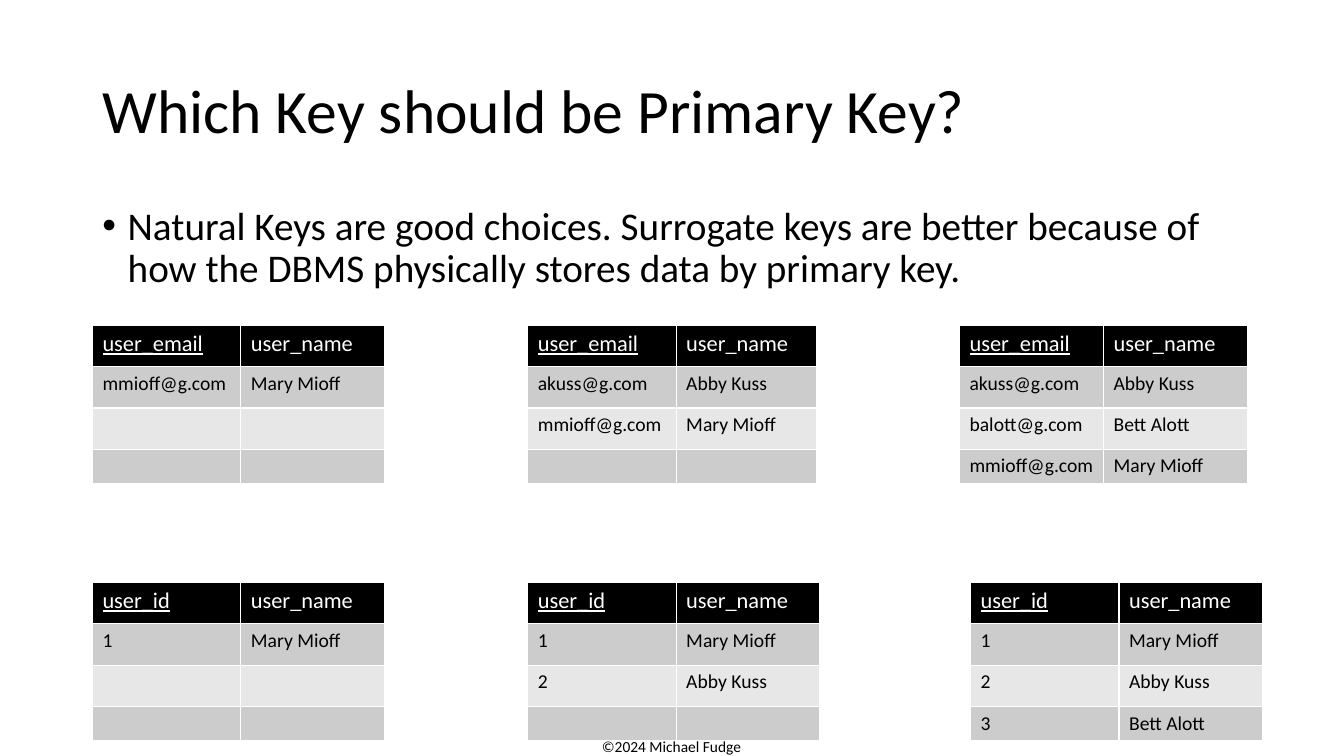
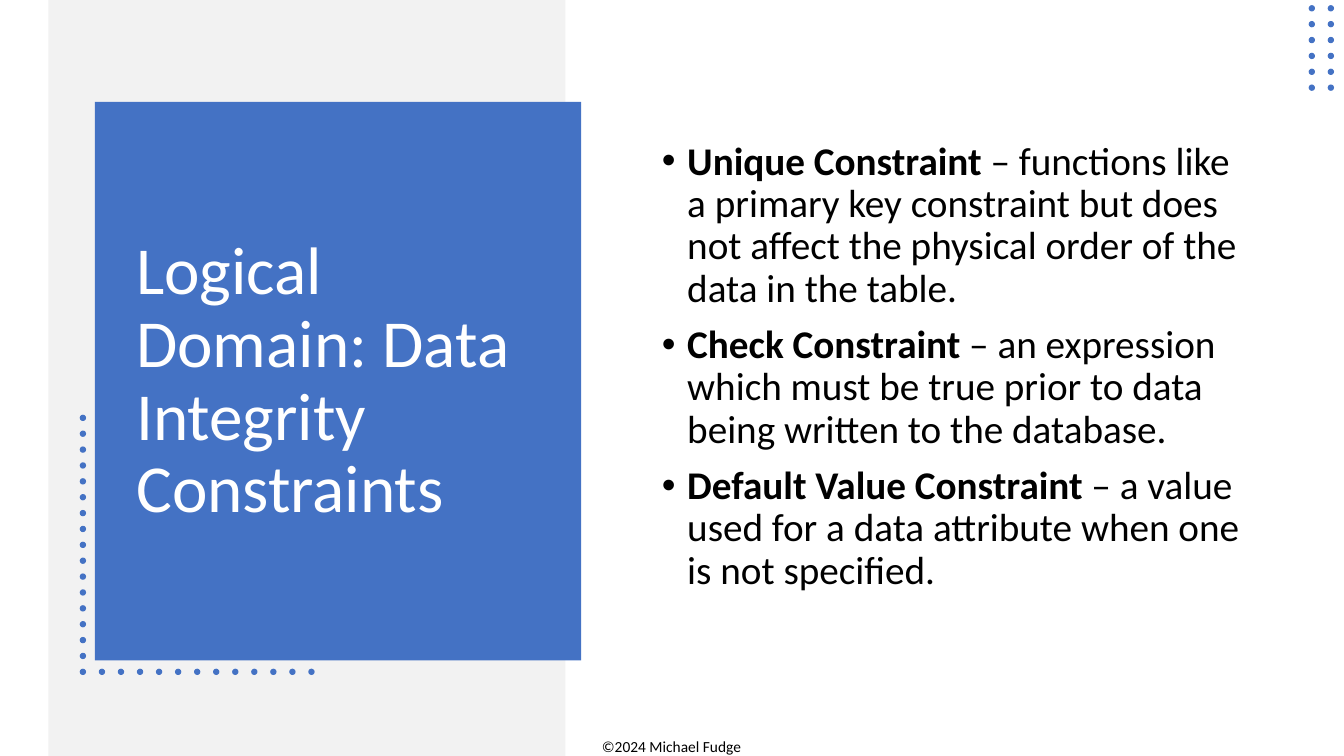
import pptx
import pptx.util
import pptx.dml.color
import pptx.enum.shapes
import pptx.enum.text
import pptx.oxml
import pptx.oxml.ns

Cm = pptx.util.Cm
Pt = pptx.util.Pt
SHAPE = pptx.enum.shapes.MSO_SHAPE
ALIGN = pptx.enum.text.PP_ALIGN
ANCHOR = pptx.enum.text.MSO_ANCHOR

FONT = "Calibri"
BLACK, WHITE, BLUE, PALE = "000000", "FFFFFF", "4472C4", "F2F2F2"
BANDS = ["CCCCCC", "E7E7E7"]
DOT = 0.16
ROW_HEIGHTS = [1.04, 1.04, 1.04, 0.86]


def rgb(value):
    return pptx.dml.color.RGBColor.from_string(value)


def set_font(font, size, color):
    font.name = FONT
    font.size = Pt(size)
    font.color.rgb = rgb(color)


def add_block(shapes, kind, box, color):
    sp = shapes.add_shape(kind, *[Cm(v) for v in box])
    sp.shadow.inherit = False
    sp.fill.solid()
    sp.fill.fore_color.rgb = rgb(color)
    sp.line.fill.background()


def add_dots(s, x, y, spots):
    group = s.shapes.add_group_shape()
    for dx, dy in spots:
        add_block(group.shapes, SHAPE.OVAL, (x + dx, y + dy, DOT, DOT), BLUE)


def set_title(s, box, text, size, color):
    sp = s.shapes.title
    sp.left, sp.top, sp.width, sp.height = [Cm(v) for v in box]
    tf = sp.text_frame
    tf.text = text
    tf.word_wrap = True
    tf.auto_size = pptx.enum.text.MSO_AUTO_SIZE.NONE
    tf.vertical_anchor = ANCHOR.MIDDLE
    p = tf.paragraphs[0]
    p.alignment = ALIGN.LEFT
    p.line_spacing = 0.9
    set_font(p.font, size, color)
    s.shapes.element.append(sp.element)


def add_footer(s):
    tf = s.shapes.add_textbox(Cm(14.4), Cm(18.44), Cm(5.05), Cm(0.74)).text_frame
    tf.word_wrap = True
    p = tf.paragraphs[0]
    p.text = "©2024 Michael Fudge"
    p.alignment = ALIGN.CENTER
    set_font(p.font, 11, BLACK)


def add_bullet(p):
    pPr = p._p.get_or_add_pPr()
    pPr.set("marL", str(Cm(0.64)))
    pPr.set("indent", str(-Cm(0.64)))
    for tag, key, value in [("buFont", "typeface", "Arial"), ("buChar", "char", "•")]:
        mark = pptx.oxml.parse_xml(f'<a:{tag} {pptx.oxml.ns.nsdecls("a")} {key}="{value}"/>')
        pPr.insert_element_before(mark, "a:tabLst", "a:defRPr", "a:extLst")


def add_bullets(s, box, items, anchor=ANCHOR.TOP):
    tf = s.shapes.add_textbox(*[Cm(v) for v in box]).text_frame
    tf.word_wrap = True
    tf.vertical_anchor = anchor
    for i, (term, text) in enumerate(items):
        p = tf.add_paragraph() if i else tf.paragraphs[0]
        p.line_spacing = 0.9
        p.space_before = Pt(10)
        set_font(p.font, 28, BLACK)
        add_bullet(p)
        if term:
            r = p.add_run()
            r.text = term
            r.font.bold = True
        p.add_run().text = text


def add_user_table(s, x, y, widths, key, users):
    frame = s.shapes.add_table(len(ROW_HEIGHTS), len(widths), Cm(x), Cm(y),
                               Cm(sum(widths)), Cm(sum(ROW_HEIGHTS)))
    table = frame.table
    for column, width in zip(table.columns, widths):
        column.width = Cm(width)
    for row, height in zip(table.rows, ROW_HEIGHTS):
        row.height = Cm(height)
    rows = [(key, "user_name")] + users
    rows += [("", "")] * (len(ROW_HEIGHTS) - len(rows))
    for i, values in enumerate(rows):
        for j, value in enumerate(values):
            cell = table.cell(i, j)
            cell.fill.solid()
            cell.fill.fore_color.rgb = rgb(BANDS[(i - 1) % 2] if i else BLACK)
            p = cell.text_frame.paragraphs[0]
            if value:
                p.text = value
            set_font(p.font, 14 if i else 16, BLACK if i else WHITE)
            p.font.bold = False
            p.font.underline = i == 0 and j == 0


def add_slide(prs):
    s = prs.slides.add_slide(prs.slide_layouts[5])
    add_footer(s)
    return s


def primary_key_slide(prs):
    s = add_slide(prs)
    set_title(s, (2.33, 1.01, 29.21, 3.68), "Which Key should be Primary Key?", 44, BLACK)
    add_bullets(s, (2.33, 5.07, 29.21, 2.76), [
        ("", "Natural Keys are good choices. Surrogate keys are better because of "
             "how the DBMS physically stores data by primary key.")])
    mary = ("mmioff@g.com", "Mary Mioff")
    abby = ("akuss@g.com", "Abby Kuss")
    bett = ("balott@g.com", "Bett Alott")
    email_tables = [(2.33, (3.74, 3.61), [mary]),
                    (13.3, (3.74, 3.53), [abby, mary]),
                    (24.18, (3.63, 3.63), [abby, bett, mary])]
    for x, widths, users in email_tables:
        add_user_table(s, x, 8.2, widths, "user_email", users)
    by_id = [(str(n), name) for n, (_, name) in enumerate([mary, abby, bett], 1)]
    for count, x in enumerate([2.33, 13.3, 24.46], 1):
        add_user_table(s, x, 14.68, (3.74, 3.61), "user_id", by_id[:count])


def constraints_slide(prs):
    s = add_slide(prs)
    add_block(s.shapes, SHAPE.RECTANGLE, (1.22, 0, 13.03, 19.05), PALE)
    add_block(s.shapes, SHAPE.RECTANGLE, (2.39, 2.57, 12.26, 14.07), BLUE)
    column = [(0, 0.4 * i) for i in range(17)]
    row = [(0.48 * i, 6.4) for i in range(1, 13)]
    add_dots(s, 2.01, 10.45, column + row)
    set_title(s, (3.18, 3.68, 10.52, 11.89),
              "Logical Domain: Data Integrity Constraints", 48, WHITE)
    add_dots(s, 32.98, 0.13, [(0.48 * i, 0.4 * j) for i in range(2) for j in range(6)])
    add_bullets(s, (16.43, 3.3, 15.44, 11.9), [
        ("Unique Constraint ", "– functions like a primary key constraint but does not "
                               "affect the physical order of the data in the table."),
        ("Check Constraint ", "– an expression which must be true prior to data being "
                              "written to the database."),
        ("Default Value Constraint ", "– a value used for a data attribute when one is "
                                      "not specified.")], ANCHOR.MIDDLE)


def main():
    prs = pptx.Presentation()
    prs.slide_width, prs.slide_height = Cm(33.87), Cm(19.05)
    primary_key_slide(prs)
    constraints_slide(prs)
    prs.save("out.pptx")


if __name__ == "__main__":
    main()
